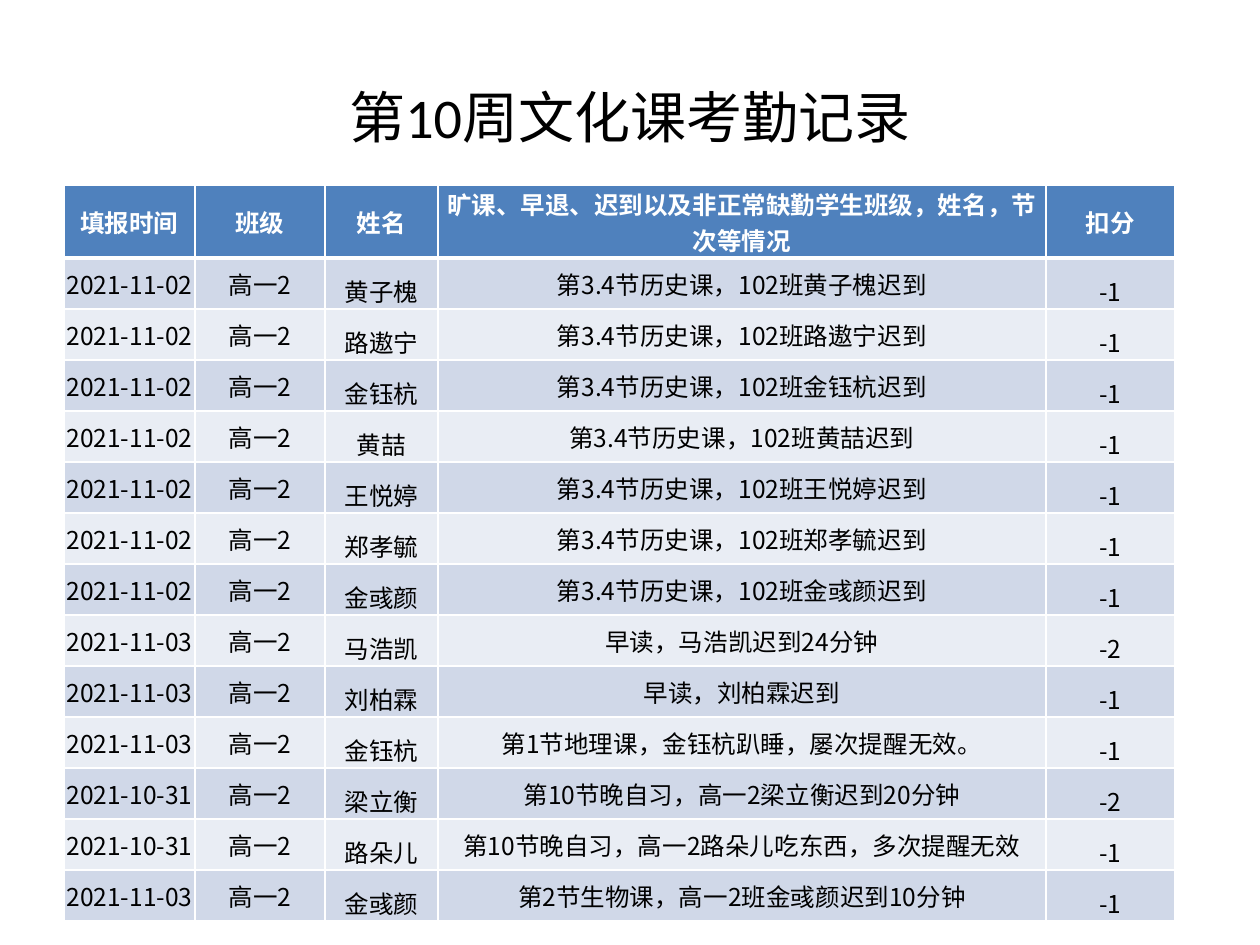
from lxml.etree import SubElement as Sub
from pptx import Presentation
from pptx.dml.color import RGBColor as Rgb
from pptx.enum.text import MSO_ANCHOR as Anchor, PP_ALIGN as Align
from pptx.oxml.ns import qn
from pptx.util import Pt

PX = 914400 // 126
SANS = "Noto Sans CJK SC"
WHITE, BLACK, BLUE = "FFFFFF", "000000", "4F81BD"
BANDS = ["D0D8E8", "E9EDF4"]
WIDTHS = [131, 130, 113, 608, 129]
TOP, ROW = 73, 51
HEAD = ["填报时间", "班级", "姓名",
        "旷课、早退、迟到以及非正常缺勤学生班级，姓名，节次等情况", "扣分"]
LATE = ["黄子槐", "路遨宁", "金钰杭", "黄喆", "王悦婷", "郑孝毓", "金彧颜"]
OTHER = [
    ("2021-11-03", "马浩凯", "早读，马浩凯迟到24分钟", "-2"),
    ("2021-11-03", "刘柏霖", "早读，刘柏霖迟到", "-1"),
    ("2021-11-03", "金钰杭", "第1节地理课，金钰杭趴睡，屡次提醒无效。", "-1"),
    ("2021-10-31", "梁立衡", "第10节晚自习，高一2梁立衡迟到20分钟", "-2"),
    ("2021-10-31", "路朵儿", "第10节晚自习，高一2路朵儿吃东西，多次提醒无效", "-1"),
    ("2021-11-03", "金彧颜", "第2节生物课，高一2班金彧颜迟到10分钟", "-1"),
]


def color(code):
    return Rgb.from_string(code)


def write(frame, text, size, face, tint, bold=False):
    par = frame.paragraphs[0]
    par.text = text
    par.alignment = Align.CENTER
    font = par.font
    font.size, font.name, font.bold = Pt(size), face, bold
    font.color.rgb = color(tint)
    props = par.runs[0]._r.get_or_add_rPr()
    props.set("lang", "zh-CN")
    Sub(props, qn("a:ea"), typeface=SANS)


def add_title(slide, text):
    box = slide.shapes.add_textbox(63 * PX, 38 * PX, 1134 * PX, 157 * PX)
    frame = box.text_frame
    frame.word_wrap = True
    frame.vertical_anchor = Anchor.MIDDLE
    write(frame, text, 32, "Calibri", BLACK)


def add_edges(cell, top, base):
    props = cell._tc.get_or_add_tcPr()
    edges = [("a:lnL", 1), ("a:lnR", 1), ("a:lnT", top), ("a:lnB", base)]
    for spot, (tag, width) in enumerate(edges):
        line = Sub(props, qn(tag), w=str(Pt(width)))
        fill = Sub(line, qn("a:solidFill"))
        Sub(fill, qn("a:srgbClr"), val=WHITE)
        props.insert(spot, line)


def fill_cell(cell, text, row, col):
    head = row == 0
    low = not head and col in (2, 4)
    cell.margin_left = cell.margin_right = cell.margin_top = PX
    cell.margin_bottom = 0
    cell.vertical_anchor = Anchor.BOTTOM if low else Anchor.MIDDLE
    cell.fill.solid()
    cell.fill.fore_color.rgb = color(BLUE if head else BANDS[(row - 1) % 2])
    add_edges(cell, 3 if row == 1 else 1, 3 if head else 1)
    write(cell.text_frame, text, 14, SANS, WHITE if head else BLACK, head)


def add_grid(slide, rows):
    highs = [TOP] + [ROW] * (len(rows) - 1)
    table = slide.shapes.add_table(
        len(rows), len(WIDTHS), 64 * PX, 185 * PX,
        sum(WIDTHS) * PX, sum(highs) * PX).table
    for col, width in zip(table.columns, WIDTHS):
        col.width = width * PX
    for r, row in enumerate(rows):
        table.rows[r].height = highs[r] * PX
        for c, text in enumerate(row):
            fill_cell(table.cell(r, c), text, r, c)


def main():
    deck = Presentation()
    deck.slide_width, deck.slide_height = 1260 * PX, 945 * PX
    slide = deck.slides.add_slide(deck.slide_layouts[6])
    add_title(slide, "第10周文化课考勤记录")
    late = [("2021-11-02", name, f"第3.4节历史课，102班{name}迟到", "-1")
            for name in LATE]
    body = [(day, "高一2", name, note, score)
            for day, name, note, score in late + OTHER]
    add_grid(slide, [HEAD] + body)
    deck.save("out.pptx")


if __name__ == "__main__":
    main()
